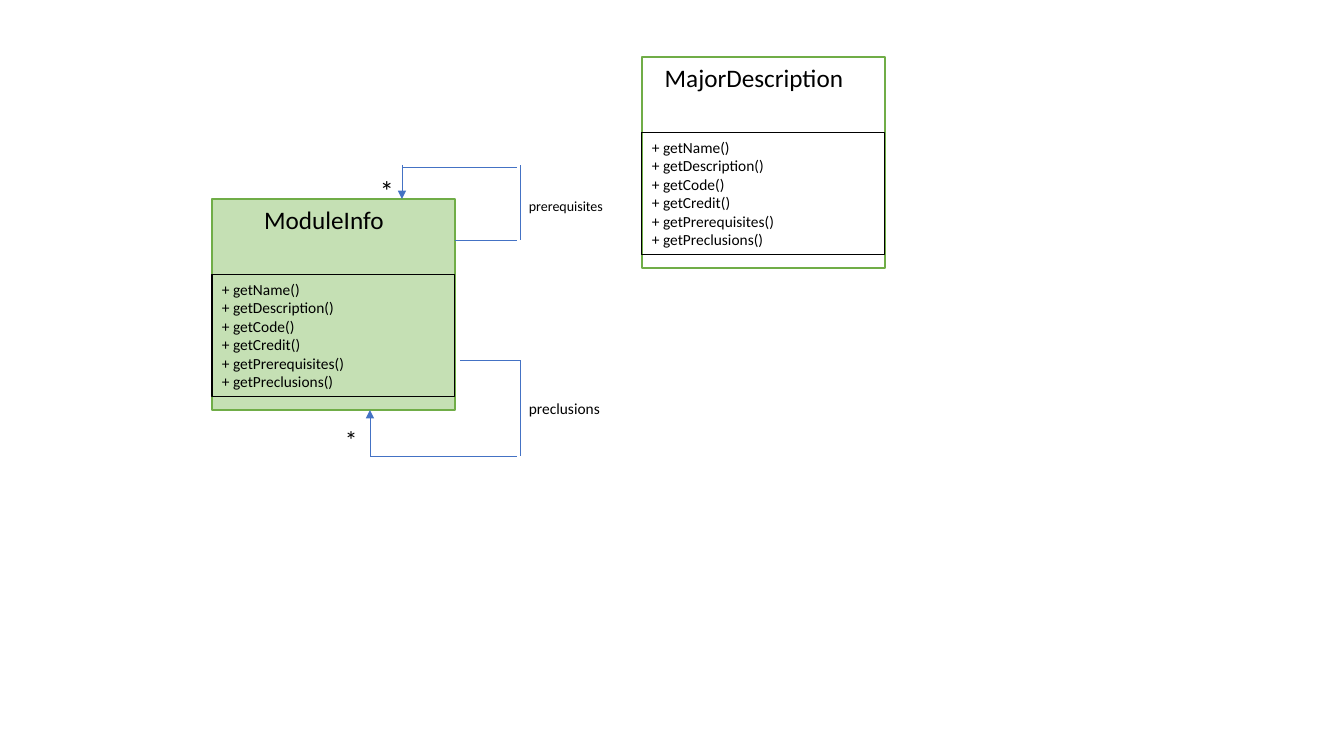
from pptx import Presentation
from pptx.dml.color import RGBColor
from pptx.enum.shapes import MSO_CONNECTOR as Connector, MSO_SHAPE as Shape
from pptx.enum.text import MSO_ANCHOR as Anchor, MSO_AUTO_SIZE as AutoSize, PP_ALIGN as Align
from pptx.oxml.ns import qn
from pptx.util import Emu, Pt
from lxml.etree import SubElement

EMU_PER_PIXEL = 914400 / 100.8
FONT = "Calibri"
BLACK = RGBColor(0x00, 0x00, 0x00)
WHITE = RGBColor(0xFF, 0xFF, 0xFF)
GREEN = RGBColor(0x70, 0xAD, 0x47)
PALE_GREEN = RGBColor(0xC5, 0xE0, 0xB4)
BLUE = RGBColor(0x44, 0x72, 0xC4)

CLASS_WIDTH, CLASS_HEIGHT = 243, 211
TITLE_WIDTH, TITLE_HEIGHT = 224, 40
OPERATIONS_OFFSET, OPERATIONS_HEIGHT = 76, 122
OPERATIONS = [
    "+ getName()",
    "+ getDescription()",
    "+ getCode()",
    "+ getCredit()",
    "+ getPrerequisites()",
    "+ getPreclusions()",
]


def px(*lengths):
    return [Emu(round(length * EMU_PER_PIXEL)) for length in lengths]


def write(frame, lines, size, align=Align.LEFT):
    frame.text = "\n".join(lines)
    frame.vertical_anchor = Anchor.TOP
    for paragraph in frame.paragraphs:
        paragraph.alignment = align
        paragraph.font.name = FONT
        paragraph.font.size = Pt(size)
        paragraph.font.color.rgb = BLACK


def add_label(slide, box, text, size, align=Align.LEFT, wrap=False):
    frame = slide.shapes.add_textbox(*px(*box)).text_frame
    write(frame, [text], size, align)
    frame.word_wrap = wrap
    frame.auto_size = AutoSize.SHAPE_TO_FIT_TEXT


def add_box(slide, box, line_color, line_width, fill_color=None):
    rectangle = slide.shapes.add_shape(Shape.RECTANGLE, *px(*box))
    rectangle.shadow.inherit = False
    if fill_color is None:
        rectangle.fill.background()
    else:
        rectangle.fill.solid()
        rectangle.fill.fore_color.rgb = fill_color
    rectangle.line.color.rgb = line_color
    rectangle.line.width = Pt(line_width)
    return rectangle


def add_class(slide, left, top, name, fill_color):
    add_box(slide, (left, top, CLASS_WIDTH, CLASS_HEIGHT), GREEN, 1, fill_color)
    add_label(slide, (left, top, TITLE_WIDTH, TITLE_HEIGHT), name, 18, Align.CENTER, True)
    operations_box = (left, top + OPERATIONS_OFFSET, CLASS_WIDTH, OPERATIONS_HEIGHT)
    operations = add_box(slide, operations_box, BLACK, 0.75)
    write(operations.text_frame, OPERATIONS, 11)


def add_line(slide, ends, arrow=False):
    segment = slide.shapes.add_connector(Connector.STRAIGHT, *px(*ends))
    segment.line.color.rgb = BLUE
    segment.line.width = Pt(0.5)
    if arrow:
        SubElement(segment.line._get_or_add_ln(), qn("a:tailEnd"), type="triangle")
    SubElement(segment._element.spPr, qn("a:effectLst"))


def add_association(slide, segments):
    for ends in segments[:-1]:
        add_line(slide, ends)
    add_line(slide, segments[-1], arrow=True)


def main():
    presentation = Presentation()
    presentation.slide_width, presentation.slide_height = px(1344, 756)
    slide = presentation.slides.add_slide(presentation.slide_layouts[6])

    add_class(slide, 212, 199, "ModuleInfo", PALE_GREEN)
    add_class(slide, 642, 57, "MajorDescription", WHITE)

    add_association(slide, [
        (455, 240, 517, 240),
        (520, 240, 520, 165),
        (517, 167, 402, 167),
        (402, 165, 402, 199),
    ])
    add_label(slide, (370, 169, 34, 44), "*", 20)
    add_label(slide, (519, 193, 96, 27), "prerequisites", 10)

    add_association(slide, [
        (460, 360, 520, 360),
        (520, 456, 520, 360),
        (517, 456, 370, 456),
        (370, 456, 370, 410),
    ])
    add_label(slide, (335, 419, 33, 40), "*", 18)
    add_label(slide, (519, 394, 92, 29), "preclusions", 11)

    presentation.save("out.pptx")


main()
